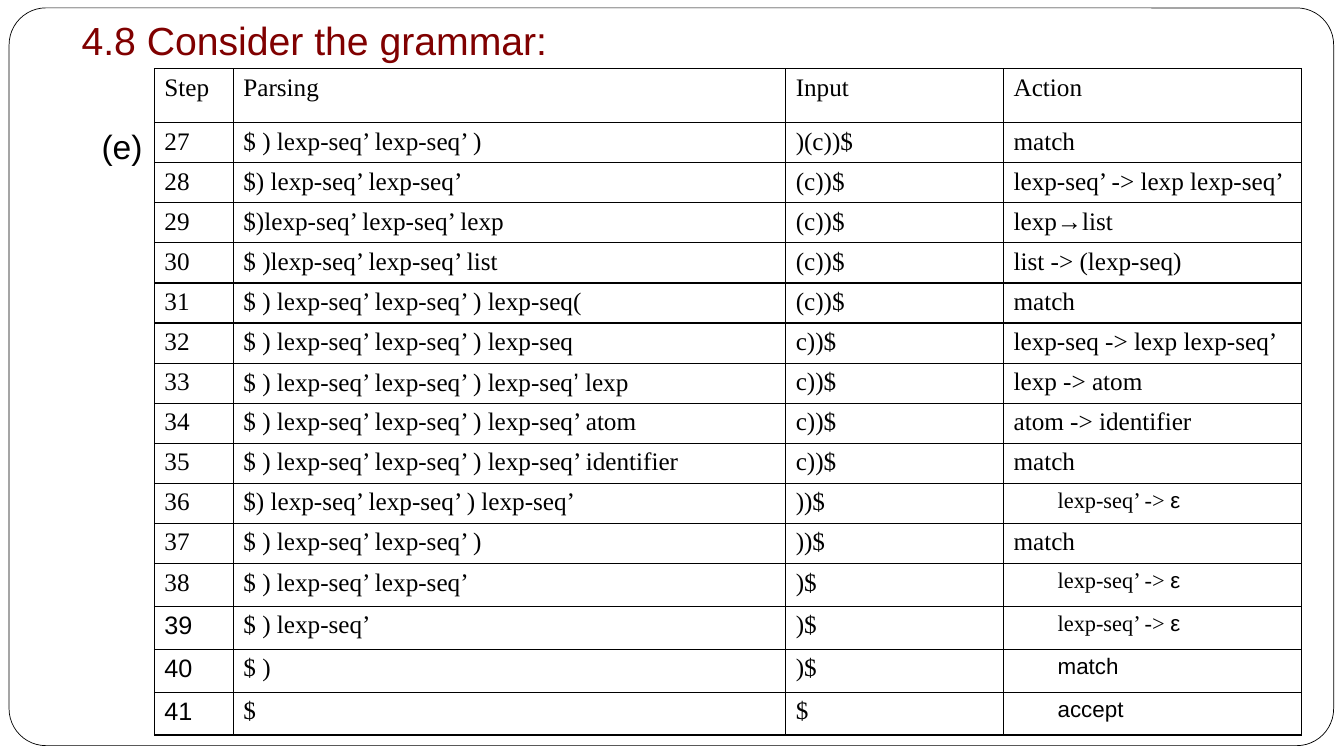
"""Build the slide that traces steps 27 to 41 of an LL(1) parse."""
from dataclasses import dataclass

from lxml import etree
from pptx import Presentation
from pptx import util as u
from pptx.dml import color
from pptx.enum import shapes, text
from pptx.oxml import ns

SANS, SERIF = "Arial", "Times New Roman"
BLACK, WHITE, MAROON = "000000", "FFFFFF", "800000"
COLUMN_WIDTHS = (1.99, 13.92, 5.49, 7.5)
HEADER_HEIGHT, ROW_HEIGHT, TALL_HEIGHT = 1.36, 1.01, 1.08


@dataclass(frozen=True)
class Span:
    words: str
    font: str = SERIF


@dataclass(frozen=True)
class Entry:
    spans: tuple[Span, ...]
    indented: bool = False


@dataclass(frozen=True)
class Row:
    entries: tuple[Entry, ...]
    height: float = ROW_HEIGHT


def entry(words: str, font: str = SERIF, indented: bool = False) -> Entry:
    return Entry((Span(words, font),), indented)


def row(*words: str, height: float = ROW_HEIGHT) -> Row:
    return Row(tuple(entry(part) for part in words), height)


def closing_row(step: Entry, stack: str, rest: str, action: Entry, height: float) -> Row:
    return Row((step, entry(stack), entry(rest), action), height)


EPSILON = Entry((Span("lexp-seq’ -> "), Span("ε", SANS)), True)
CURLY_STACK = Entry((Span("$ ) lexp-seq’ lexp-seq’ ) lexp-seq"), Span("’ ", SANS), Span("lexp")))

ROWS = (
    row("Step", "Parsing", "Input", "Action", height=HEADER_HEIGHT),
    row("27", "$ ) lexp-seq’ lexp-seq’ )", ")(c))$", "match"),
    row("28", "$) lexp-seq’ lexp-seq’", "(c))$", "lexp-seq’ -> lexp lexp-seq’"),
    row("29", "$)lexp-seq’ lexp-seq’ lexp", "(c))$", "lexp→list"),
    row("30", "$ )lexp-seq’ lexp-seq’ list", "(c))$", "list -> (lexp-seq)"),
    row("31", "$ ) lexp-seq’ lexp-seq’ ) lexp-seq(", "(c))$", "match"),
    row("32", "$ ) lexp-seq’ lexp-seq’ ) lexp-seq", "c))$", "lexp-seq -> lexp lexp-seq’"),
    Row((entry("33"), CURLY_STACK, entry("c))$"), entry("lexp -> atom"))),
    row("34", "$ ) lexp-seq’ lexp-seq’ ) lexp-seq’ atom", "c))$", "atom -> identifier"),
    row("35", "$ ) lexp-seq’ lexp-seq’ ) lexp-seq’ identifier", "c))$", "match"),
    closing_row(entry("36"), "$) lexp-seq’ lexp-seq’ ) lexp-seq’", "))$", EPSILON, ROW_HEIGHT),
    row("37", "$ ) lexp-seq’ lexp-seq’ )", "))$", "match"),
    closing_row(entry("38"), "$ ) lexp-seq’ lexp-seq’", ")$", EPSILON, TALL_HEIGHT),
    closing_row(entry("39", SANS), "$ ) lexp-seq’", ")$", EPSILON, TALL_HEIGHT),
    closing_row(entry("40", SANS), "$ )", ")$", entry("match", SANS, True), TALL_HEIGHT),
    closing_row(entry("41", SANS), "$", "$", entry("accept", SANS, True), TALL_HEIGHT),
)


def rgb(value: str) -> color.RGBColor:
    return color.RGBColor.from_string(value)


def style(run, font: str, size: float, shade: str) -> None:
    run.font.name, run.font.size = font, u.Pt(size)
    run.font.color.rgb = rgb(shade)


def place(shape, left: float, top: float, width: float, height: float) -> None:
    shape.left, shape.top = u.Cm(left), u.Cm(top)
    shape.width, shape.height = u.Cm(width), u.Cm(height)


def draw_frame(page) -> None:
    frame = page.shapes.add_shape(shapes.MSO_SHAPE.ROUNDED_RECTANGLE, 0, 0, 0, 0)
    place(frame, 0.23, 0.2, 33.38, 18.59)
    frame.adjustments[0] = 0.05
    frame.shadow.inherit = False
    frame.fill.solid()
    frame.fill.fore_color.rgb = rgb(WHITE)
    frame.line.color.rgb = rgb(BLACK)
    frame.line.width = u.Pt(0.5)
    page.shapes.title.element.addprevious(frame.element)


def write_line(box, words: str, size: float, shade: str) -> None:
    box.text_frame.text = words
    box.text_frame.word_wrap = True
    box.text_frame.auto_size = text.MSO_AUTO_SIZE.NONE
    para = box.text_frame.paragraphs[0]
    para.alignment = text.PP_ALIGN.LEFT
    style(para.runs[0], SANS, size, shade)


def add_borders(cell) -> None:
    properties = cell._tc.get_or_add_tcPr()
    for side in ("lnL", "lnR", "lnT", "lnB"):
        line = etree.SubElement(properties, ns.qn(f"a:{side}"), w=str(u.Pt(1)))
        fill = etree.SubElement(line, ns.qn("a:solidFill"))
        etree.SubElement(fill, ns.qn("a:srgbClr"), val=BLACK)


def fill_cell(cell, content: Entry) -> None:
    add_borders(cell)
    cell.fill.background()
    para = cell.text_frame.paragraphs[0]
    para.level = int(content.indented)
    margin, indent = (1.11, 0) if content.indented else (0.95, -0.95)
    properties = para._p.get_or_add_pPr()
    properties.set("marL", str(u.Cm(margin)))
    properties.set("indent", str(u.Cm(indent)))
    for span in content.spans:
        run = para.add_run()
        run.text = span.words
        style(run, span.font, 16 if content.indented else 18, BLACK)


def draw_table(page) -> None:
    size = [u.Cm(sum(COLUMN_WIDTHS)), u.Cm(sum(line.height for line in ROWS))]
    graphic = page.shapes.add_table(len(ROWS), len(COLUMN_WIDTHS), u.Cm(3.89), u.Cm(1.73), *size)
    table = graphic.table
    table.first_row = table.horz_banding = False
    for column, width in zip(table.columns, COLUMN_WIDTHS):
        column.width = u.Cm(width)
    for table_row, line in zip(table.rows, ROWS):
        table_row.height = u.Cm(line.height)
        for cell, content in zip(table_row.cells, line.entries):
            fill_cell(cell, content)


def main() -> None:
    deck = Presentation()
    deck.slide_width, deck.slide_height = u.Cm(33.87), u.Cm(19.05)
    page = deck.slides.add_slide(deck.slide_layouts[5])
    draw_frame(page)
    title = page.shapes.title
    place(title, 1.8, 0.28, 29.13, 1.45)
    write_line(title, "4.8 Consider the grammar:", 28, MAROON)
    title.text_frame.vertical_anchor = text.MSO_ANCHOR.MIDDLE
    part_label = page.shapes.add_textbox(0, 0, 0, 0)
    place(part_label, 2.31, 3.05, 23.62, 1.27)
    write_line(part_label, "(e)", 24, BLACK)
    draw_table(page)
    deck.save("out.pptx")


if __name__ == "__main__":
    main()
